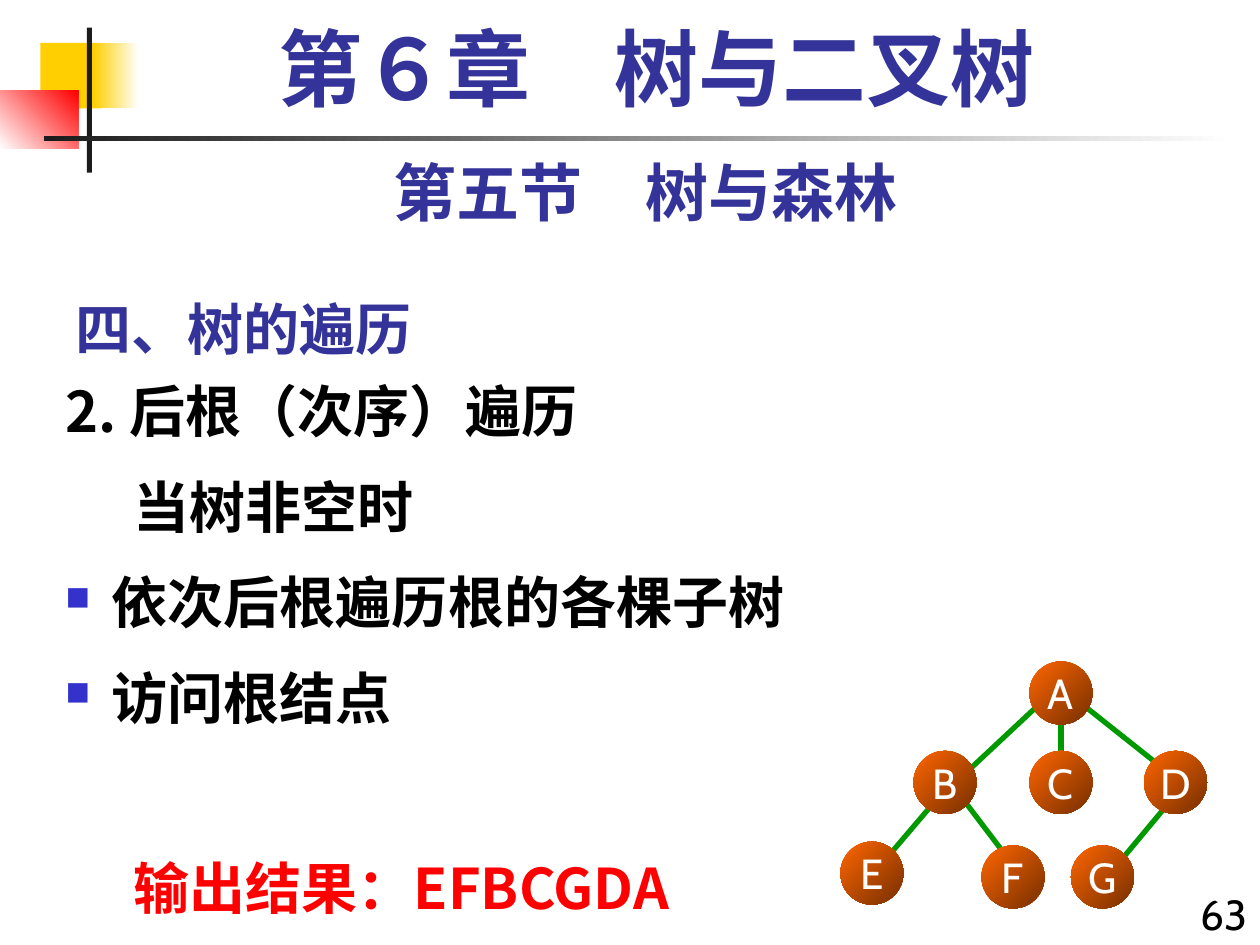
from lxml import etree
from pptx import Presentation
from pptx.dml.color import RGBColor
from pptx.enum.shapes import MSO_CONNECTOR, MSO_SHAPE
from pptx.enum.text import MSO_ANCHOR, PP_ALIGN
from pptx.oxml.ns import qn
from pptx.util import Inches, Pt

COLORS = {
    "navy": "333399", "black": "000000", "white": "FFFFFF", "red": "FF0000",
    "yellow": "FFCF01", "ink": "1C1C1C", "bullet": "3333CC", "edge": "009900",
    "node_light": "FF6600", "node_dark": "762F00",
}
CJK_FONT = "Noto Sans CJK SC"


def color(name):
    return RGBColor.from_string(COLORS[name])


def paint(shape, start, end=None, angle=0):
    """Solid fill, or a gradient turned clockwise by angle."""
    if end is None:
        shape.fill.solid()
        shape.fill.fore_color.rgb = color(start)
    else:
        shape.fill.gradient()
        shape.fill.gradient_angle = (360 - angle) % 360
        for stop, name in zip(shape.fill.gradient_stops, (start, end)):
            stop.color.rgb = color(name)
    shape.line.fill.background()
    shape.shadow.inherit = False


def style(para, size, color_name, font=CJK_FONT, bold=True):
    for span in para.runs:
        span.font.size = Pt(size)
        span.font.bold = bold
        span.font.name = font
        span.font.color.rgb = color(color_name)
        east_asian = etree.SubElement(span.font._element, qn("a:ea"))
        east_asian.set("typeface", CJK_FONT)


def add_text_box(page, box):
    text_box = page.shapes.add_textbox(*map(Inches, box))
    text_box.text_frame.word_wrap = True
    return text_box.text_frame


def add_line_of_text(page, box, text, size, color_name, font, align, bold=True, spacing=1.0):
    frame = add_text_box(page, box)
    frame.text = text
    para = frame.paragraphs[0]
    para.alignment = align
    para.line_spacing = spacing
    style(para, size, color_name, font, bold)


def add_ornament(page, box):
    """Coloured blocks crossed by two rules."""
    left, top = box[:2]
    parts = [
        ((0.32, 0.12, 0.48, 0.52), ("yellow",)),
        ((0.74, 0.12, 0.36, 0.52), ("yellow", "white")),
        ((0, 0.5, 0.62, 0.46), ("white", "red", 315)),
        ((0.69, 0, 0.04, 1.15), ("ink",)),
        ((0.35, 0.86, 9.45, 0.04), ("ink", "white")),
    ]
    for (x, y, width, height), fill in parts:
        block = page.shapes.add_shape(
            MSO_SHAPE.RECTANGLE, Inches(left + x), Inches(top + y), Inches(width), Inches(height))
        paint(block, *fill)


def add_title(page, box, text):
    title = page.shapes.title
    title.left, title.top, title.width, title.height = map(Inches, box)
    frame = title.text_frame
    frame.text = text
    frame.vertical_anchor = MSO_ANCHOR.BOTTOM
    frame.paragraphs[0].alignment = PP_ALIGN.LEFT
    style(frame.paragraphs[0], 32, "navy")


def set_indent(para, left, first=0.0, bullet=False):
    properties = para._p.get_or_add_pPr()
    properties.set("marL", str(Inches(left)))
    properties.set("indent", str(Inches(first)))
    if bullet:
        bullet_color = etree.SubElement(properties, qn("a:buClr"))
        etree.SubElement(bullet_color, qn("a:srgbClr")).set("val", COLORS["bullet"])
        etree.SubElement(properties, qn("a:buSzPct")).set("val", "60000")
        bullet_font = etree.SubElement(properties, qn("a:buFont"))
        bullet_font.set("typeface", "Wingdings")
        bullet_font.set("charset", "2")
        # The Wingdings letter n draws a filled square
        etree.SubElement(properties, qn("a:buChar")).set("char", "n")


def add_steps(page, box):
    """Traversal steps: text, left indent, first line, bullet, space before, colour."""
    steps = [
        ("2. 后根（次序）遍历", 0.37, -0.37, False, 0, "black"),
        ("当树非空时", 0.54, 0, False, 20, "black"),
        ("依次后根遍历根的各棵子树", 0.37, -0.37, True, 20, "black"),
        ("访问根结点", 0.37, -0.37, True, 20, "black"),
        ("输出结果：EFBCGDA", 0.54, 0, False, 74, "red"),
    ]
    frame = add_text_box(page, box)
    for index, (text, left, first, bullet, gap, color_name) in enumerate(steps):
        para = frame.add_paragraph() if index else frame.paragraphs[0]
        para.text = text
        para.line_spacing = 0.9
        para.space_before = Pt(gap)
        set_indent(para, left, first, bullet)
        style(para, 32, color_name)


def add_tree(page, box):
    left, top = box[:2]
    diameter = 0.5
    nodes = {
        "A": (1.5, 0), "B": (0.58, 0.71), "C": (1.5, 0.71), "D": (2.41, 0.71),
        "E": (0, 1.43), "F": (1.12, 1.46), "G": (1.83, 1.46),
    }
    edges = [
        (1.87, 0.3, 2.5, 0.8), (1.62, 0.3, 1, 0.88), (1.75, 0.48, 1.75, 0.73),
        (0.87, 0.97, 0.41, 1.51), (0.91, 1.01, 1.29, 1.51), (2.7, 1.01, 2.25, 1.55),
    ]
    group = page.shapes.add_group_shape()
    # Branches
    for x1, y1, x2, y2 in edges:
        branch = group.shapes.add_connector(
            MSO_CONNECTOR.STRAIGHT, Inches(left + x1), Inches(top + y1),
            Inches(left + x2), Inches(top + y2))
        branch.line.color.rgb = color("edge")
        branch.line.width = Pt(3)
        etree.SubElement(branch._element.spPr, qn("a:effectLst"))
    # Nodes
    for name, (x, y) in nodes.items():
        node = group.shapes.add_shape(
            MSO_SHAPE.OVAL, Inches(left + x), Inches(top + y), Inches(diameter), Inches(diameter))
        paint(node, "node_light", "node_dark", 45)
        frame = node.text_frame
        frame.text = name
        frame.word_wrap = False
        frame.margin_left = frame.margin_right = 0
        frame.vertical_anchor = MSO_ANCHOR.MIDDLE
        frame.paragraphs[0].alignment = PP_ALIGN.CENTER
        style(frame.paragraphs[0], 24, "white", "Cabin", False)


def main():
    deck = Presentation()
    deck.slide_width, deck.slide_height = Inches(10), Inches(7.5)
    page = deck.slides.add_slide(deck.slide_layouts[5])

    add_ornament(page, (0, 0.22, 9.8, 1.15))
    add_title(page, (0.5, 2.17, 6.25, 0.75), "四、树的遍历")
    # Page number, section and chapter headings
    add_line_of_text(page, (9.33, 7, 0.67, 0.59), "63", 24, "black", "Cabin",
                     PP_ALIGN.RIGHT, bold=False)
    add_line_of_text(page, (0.5, 1.17, 9.25, 0.7), "第五节　树与森林", 36, "navy", "Cabin",
                     PP_ALIGN.CENTER)
    add_line_of_text(page, (0.67, 0.17, 9.08, 0.83), "第６章　树与二叉树", 48, "navy",
                     "Times New Roman", PP_ALIGN.CENTER, spacing=0.9)
    add_steps(page, (0.42, 3, 6.17, 4.5))
    add_tree(page, (6.67, 5.25, 2.91, 1.96))
    deck.save("out.pptx")


if __name__ == "__main__":
    main()
